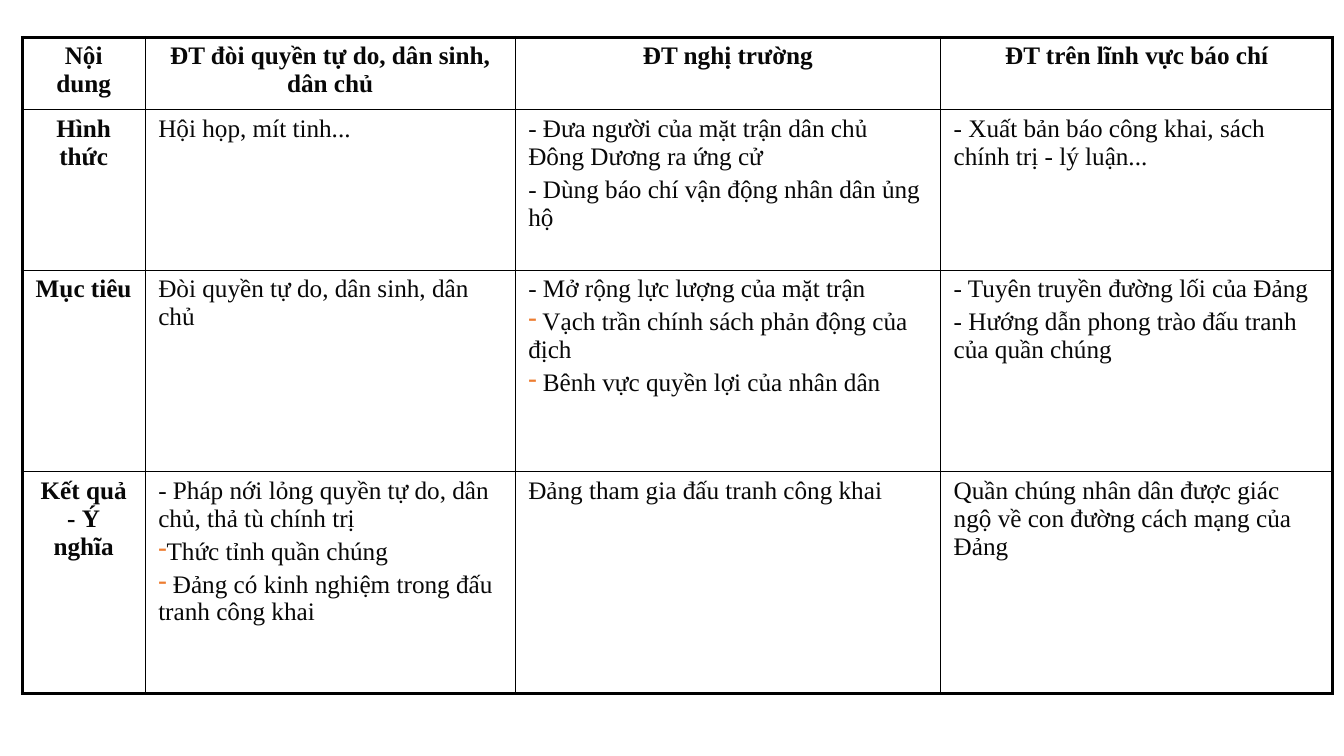
from typing import NamedTuple

from lxml.etree import SubElement
from pptx import Presentation
from pptx.dml.color import RGBColor
from pptx.enum.text import PP_ALIGN
from pptx.oxml.ns import qn
from pptx.util import Pt

PX = 9144
INK = RGBColor(0x08, 0x08, 0x08)
WHITE = RGBColor(0xFF, 0xFF, 0xFF)
BLACK = RGBColor(0x00, 0x00, 0x00)
ORANGE = RGBColor(0xED, 0x7D, 0x31)
THIN, THICK = Pt(1), Pt(2.25)
COLUMNS = [122, 367, 422, 389]
ROWS = [72, 159, 200, 220]
MARGINS = {"margin_left": 13, "margin_top": 5, "margin_right": 13, "margin_bottom": 5}
TEXT_FORMAT = {"name": "Times New Roman", "size": Pt(18)}


class Dash(NamedTuple):
    text: str


CONTENT = [
    [
        ["Nội dung"],
        ["ĐT đòi quyền tự do, dân sinh, dân chủ"],
        ["ĐT nghị trường"],
        ["ĐT trên lĩnh vực báo chí"],
    ],
    [
        ["Hình thức"],
        ["Hội họp, mít tinh..."],
        [
            "- Đưa người của mặt trận dân chủ Đông Dương ra ứng cử",
            "- Dùng báo chí vận động nhân dân ủng hộ",
        ],
        ["- Xuất bản báo công khai, sách chính trị - lý luận..."],
    ],
    [
        ["Mục tiêu"],
        ["Đòi quyền tự do, dân sinh, dân chủ"],
        [
            "- Mở rộng lực lượng của mặt trận",
            Dash(" Vạch trần chính sách phản động của địch"),
            Dash(" Bênh vực quyền lợi của nhân dân"),
        ],
        [
            "- Tuyên truyền đường lối của Đảng",
            "- Hướng dẫn phong trào đấu tranh của quần chúng",
        ],
    ],
    [
        ["Kết quả - Ý nghĩa"],
        ["Đòi quyền tự do, dân sinh, dân chủ"],
        ["Đảng tham gia đấu tranh công khai"],
        ["Quần chúng nhân dân được giác ngộ về con đường cách mạng của Đảng"],
    ],
]
CONTENT[3][1] = [
    "- Pháp nới lỏng quyền tự do, dân chủ, thả tù chính trị",
    Dash("Thức tỉnh quần chúng"),
    Dash(" Đảng có kinh nghiệm trong đấu tranh công khai"),
]


def add_solid_fill(parent, color):
    fill = SubElement(parent, qn("a:solidFill"))
    SubElement(fill, qn("a:srgbClr"), val=str(color))


def add_dash(para):
    properties = para._p.get_or_add_pPr()
    properties.set("marL", "0")
    properties.set("indent", "0")
    bullet_color = SubElement(properties, qn("a:buClr"))
    SubElement(bullet_color, qn("a:srgbClr"), val=str(ORANGE))
    SubElement(properties, qn("a:buChar"), char="-")


def draw_borders(cell, row, column):
    outer_edges = {
        "a:lnL": column == 0,
        "a:lnR": column == len(COLUMNS) - 1,
        "a:lnT": row == 0,
        "a:lnB": row == len(ROWS) - 1,
    }
    properties = cell._tc.get_or_add_tcPr()
    for tag, is_outer in outer_edges.items():
        line = SubElement(properties, qn(tag), w=str(THICK if is_outer else THIN))
        add_solid_fill(line, BLACK)


def write_cell(cell, items, is_heading):
    for name, value in MARGINS.items():
        setattr(cell, name, value * PX)
    frame = cell.text_frame
    for index, item in enumerate(items):
        para = frame.add_paragraph() if index else frame.paragraphs[0]
        if isinstance(item, Dash):
            add_dash(para)
        if index:
            para.space_before = Pt(3.6)
        para.alignment = PP_ALIGN.CENTER if is_heading else PP_ALIGN.LEFT
        span = para.add_run()
        span.text = item.text if isinstance(item, Dash) else item
        for name, value in TEXT_FORMAT.items():
            setattr(span.font, name, value)
        span.font.bold = is_heading
        span.font.color.rgb = INK


def add_comparison_table(page, left, top):
    box = (left, top, sum(COLUMNS), sum(ROWS))
    table = page.shapes.add_table(
        len(ROWS), len(COLUMNS), *(length * PX for length in box)
    ).table
    table.first_row = False
    table.horz_banding = False
    for column, width in zip(table.columns, COLUMNS):
        column.width = width * PX
    for row, height in zip(table.rows, ROWS):
        row.height = height * PX
    for row, row_content in enumerate(CONTENT):
        for column, items in enumerate(row_content):
            cell = table.cell(row, column)
            draw_borders(cell, row, column)
            cell.fill.solid()
            cell.fill.fore_color.rgb = WHITE
            write_cell(cell, items, row == 0 or column == 0)


def main():
    deck = Presentation()
    deck.slide_width = 1333 * PX
    deck.slide_height = 750 * PX
    page = deck.slides.add_slide(deck.slide_layouts[6])
    add_comparison_table(page, 22, 37)
    deck.save("out.pptx")


if __name__ == "__main__":
    main()
